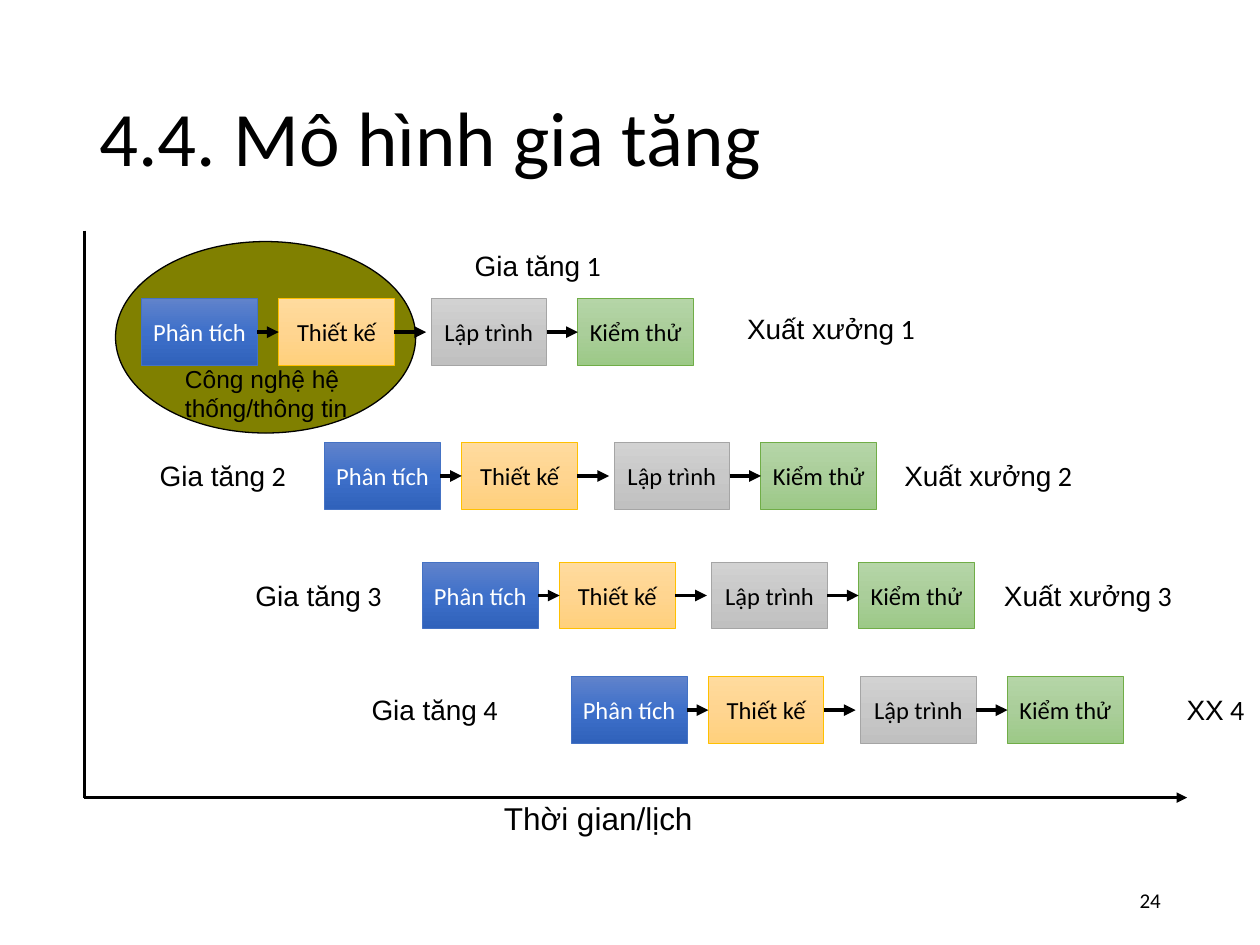
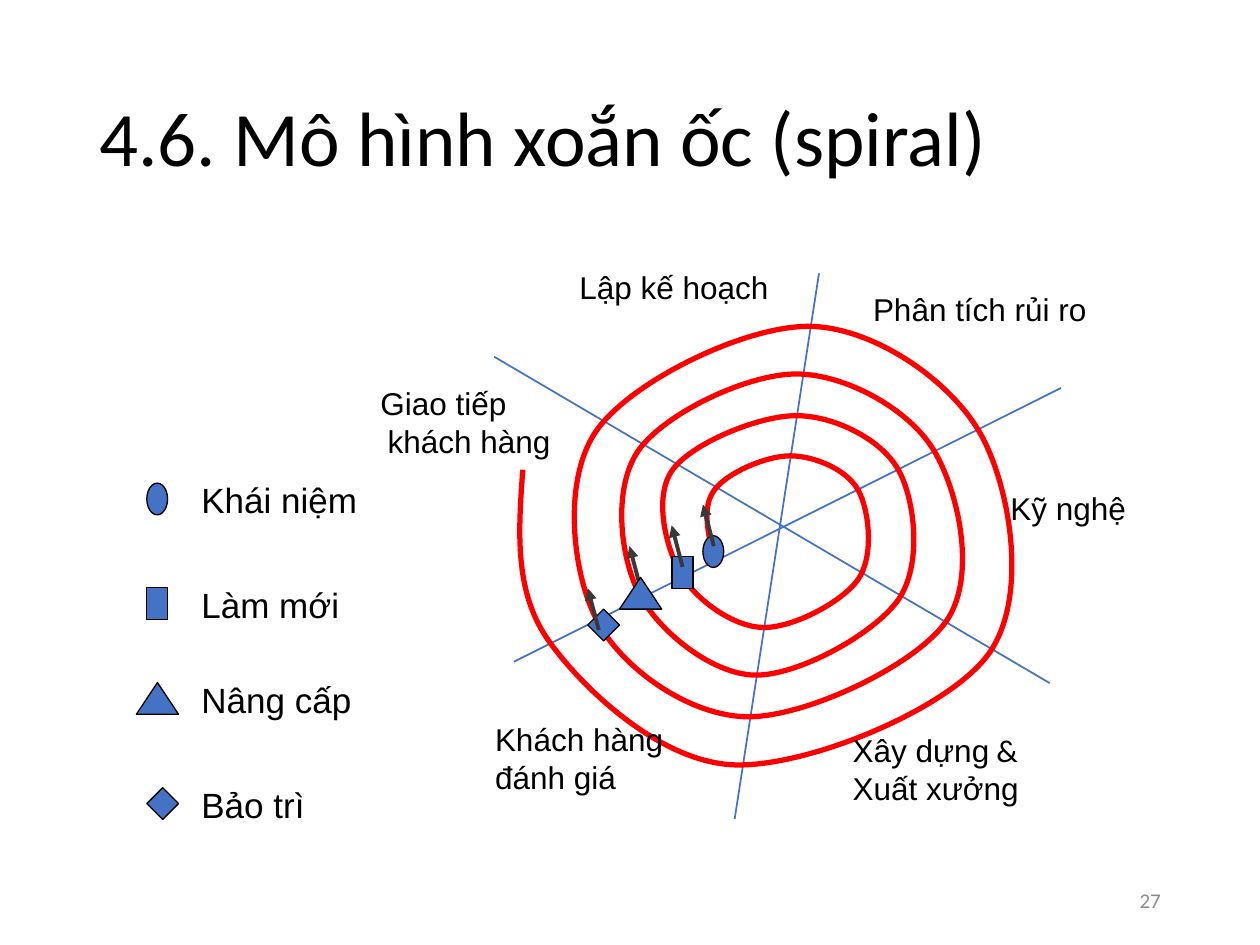
import copy

import pptx
import pptx.dml.color
import pptx.enum.shapes
import pptx.enum.text
import pptx.oxml.ns
import pptx.oxml.xmlchemy
import pptx.util

Cm = pptx.util.Cm
Pt = pptx.util.Pt
qn = pptx.oxml.ns.qn
SHAPE = pptx.enum.shapes.MSO_SHAPE
ALIGN = pptx.enum.text.PP_ALIGN
ANCHOR = pptx.enum.text.MSO_ANCHOR
AUTO_SIZE = pptx.enum.text.MSO_AUTO_SIZE

# Shared style
COLORS = {
    "black": "000000",
    "white": "FFFFFF",
    "grey": "8C8C8C",
    "blue": "4472C4",
    "red": "FF0000",
    "olive": "808000",
    "charcoal": "3B3838",
}
HEADING_FONT = "Calibri"
LABEL_FONT = "Arial"

# Increment chain: name, offset from the chain's left, gradient, outline, text colour
PHASES = [
    ("Phân tích", 0, ("6183CB", "3E70CA", "3062BB"), "4472C4", "white"),
    ("Thiết kế", 2.76, ("FFDB9E", "FFD590", "FFD07C"), "FFC000", "black"),
    ("Lập trình", 5.83, ("D2D2D2", "C8C8C8", "C0C0C0"), "A5A5A5", "black"),
    ("Kiểm thử", 8.79, ("B5D5A7", "AACE9A", "9CC987"), "70AD47", "black"),
]
PHASE_WIDTH, PHASE_HEIGHT = 2.33, 1.35
ARROW_GAPS = (0, 0.1, 0)

# Spiral markers: preset shape, width, height
MARKERS = {
    "concept": (SHAPE.OVAL, 0.42, 0.64),
    "renewal": (SHAPE.RECTANGLE, 0.42, 0.64),
    "upgrade": (SHAPE.ISOSCELES_TRIANGLE, 0.85, 0.64),
    "maintenance": (SHAPE.DIAMOND, 0.64, 0.64),
}
SPIRAL_POINTS = [
    (14.4, 11.28), (14.4, 9.88), (15.93, 9.19), (17.3, 9.88), (17.3, 11.68),
    (15.37, 12.65), (13.72, 11.56), (13.56, 9.47), (16.05, 8.38), (18.11, 9.47),
    (18.11, 12.09), (15.21, 13.61), (12.88, 11.96), (12.88, 9.07), (16.05, 7.54),
    (18.82, 9.07), (19.08, 12.52), (15.09, 14.45), (12.04, 12.52), (12.04, 8.66),
    (16.33, 6.58), (19.79, 8.79), (19.91, 13.21), (14.81, 15.42), (11.07, 12.93),
    (10.54, 9.47),
]


def rgb(color):
    return pptx.dml.color.RGBColor.from_string(COLORS.get(color, color))


def set_font(paragraph, size, color, name=None):
    paragraph.font.size = Pt(size)
    paragraph.font.color.rgb = rgb(color)
    if name:
        paragraph.font.name = name


def set_line(shape, color, width):
    shape.line.color.rgb = rgb(color)
    shape.line.width = Pt(width)


def add_titled_slide(presentation, title, number, number_color):
    slide = presentation.slides.add_slide(presentation.slide_layouts[5])
    heading = slide.shapes.title
    heading.left, heading.top = Cm(1.75), Cm(1.01)
    heading.width, heading.height = Cm(21.9), Cm(3.69)
    frame = heading.text_frame
    frame.text = title
    frame.auto_size = AUTO_SIZE.NONE
    frame.vertical_anchor = ANCHOR.MIDDLE
    paragraph = frame.paragraphs[0]
    paragraph.alignment = ALIGN.LEFT
    paragraph.line_spacing = 0.9
    set_font(paragraph, 44, "black", HEADING_FONT)

    footer = slide.shapes.add_textbox(Cm(17.93), Cm(17.65), Cm(5.72), Cm(1.01))
    footer.text_frame.word_wrap = True
    footer.text_frame.vertical_anchor = ANCHOR.MIDDLE
    paragraph = footer.text_frame.paragraphs[0]
    paragraph.text = str(number)
    paragraph.alignment = ALIGN.RIGHT
    set_font(paragraph, 12, number_color, HEADING_FONT)
    return slide


def add_label(slide, left, top, width, height, size, *lines):
    """Each line is a string, or a tuple of (text, font name) runs."""
    box = slide.shapes.add_textbox(Cm(left), Cm(top), Cm(width), Cm(height))
    frame = box.text_frame
    frame.word_wrap = False
    frame.auto_size = AUTO_SIZE.SHAPE_TO_FIT_TEXT
    for index, line in enumerate(lines):
        paragraph = frame.add_paragraph() if index else frame.paragraphs[0]
        if isinstance(line, str):
            paragraph.text = line
            set_font(paragraph, size, "black", LABEL_FONT)
            continue
        set_font(paragraph, size, "black")
        for text, font_name in line:
            run = paragraph.add_run()
            run.text = text
            run.font.name = font_name


def add_line(shapes, start, end, color, width, arrow=False):
    connector = shapes.add_connector(
        pptx.enum.shapes.MSO_CONNECTOR.STRAIGHT, *(Cm(value) for value in (*start, *end)))
    set_line(connector, color, width)
    properties = connector._element.spPr
    if arrow:
        tail = properties.find(qn("a:ln")).makeelement(qn("a:tailEnd"), {"type": "triangle"})
        properties.find(qn("a:ln")).append(tail)
    properties.append(properties.makeelement(qn("a:effectLst"), {}))


def add_solid(slide, preset, left, top, width, height, color):
    shape = slide.shapes.add_shape(preset, Cm(left), Cm(top), Cm(width), Cm(height))
    shape.shadow.inherit = False
    shape.fill.solid()
    shape.fill.fore_color.rgb = rgb(color)
    set_line(shape, "black", 0.75)


def add_marker(slide, kind, left, top):
    preset, width, height = MARKERS[kind]
    add_solid(slide, preset, left, top, width, height, "blue")


def fill_gradient(shape, colors):
    shape.fill.gradient()
    shape.fill.gradient_angle = 270
    stop_list = shape._element.spPr.find(qn("a:gradFill")).find(qn("a:gsLst"))
    stop_list.insert(1, copy.deepcopy(stop_list[0]))
    for index, (stop, color) in enumerate(zip(shape.fill.gradient_stops, colors)):
        stop.position = index / 2
        stop.color.rgb = rgb(color)


def add_phase(shapes, name, left, top, gradient, outline, text_color):
    shape = shapes.add_shape(
        SHAPE.RECTANGLE, Cm(left), Cm(top), Cm(PHASE_WIDTH), Cm(PHASE_HEIGHT))
    shape.shadow.inherit = False
    fill_gradient(shape, gradient)
    set_line(shape, outline, 0.5)
    frame = shape.text_frame
    frame.word_wrap = False
    frame.vertical_anchor = ANCHOR.MIDDLE
    paragraph = frame.paragraphs[0]
    paragraph.text = name
    paragraph.alignment = ALIGN.CENTER
    set_font(paragraph, 14, text_color, HEADING_FONT)


def add_chain(slide, left, top):
    shapes = slide.shapes.add_group_shape().shapes
    for name, offset, *style in PHASES:
        add_phase(shapes, name, left + offset, top, *style)
    middle = top + PHASE_HEIGHT / 2
    for phase, following, gap in zip(PHASES, PHASES[1:], ARROW_GAPS):
        start = (left + phase[1] + PHASE_WIDTH, middle)
        end = (left + following[1] - gap, middle)
        add_line(shapes, start, end, "black", 2.25, arrow=True)


def smooth_outline(shape):
    """Turn the straight segments into a curve through the same points."""
    outline = shape._element.spPr.find(".//" + qn("a:path"))
    points = [(int(point.get("x")), int(point.get("y"))) for point in outline.iter(qn("a:pt"))]
    last = len(points) - 1

    def handle(index, direction):
        (x, y), before, after = points[index], points[index - 1], points[index + 1]
        return (x + direction * (after[0] - before[0]) / 6,
                y + direction * (after[1] - before[1]) / 6)

    def midpoint(first, second):
        return (first[0] + second[0]) / 2, (first[1] + second[1]) / 2

    for index, segment in enumerate(outline.findall(qn("a:lnTo"))):
        leaving = handle(index, 1) if index > 0 else None
        arriving = handle(index + 1, -1) if index + 1 < last else None
        leaving = leaving or midpoint(points[index], arriving)
        arriving = arriving or midpoint(leaving, points[index + 1])
        curve = outline.makeelement(qn("a:cubicBezTo"), {})
        for x, y in (leaving, arriving, points[index + 1]):
            position = {"x": str(round(x)), "y": str(round(y))}
            curve.append(outline.makeelement(qn("a:pt"), position))
        outline.replace(segment, curve)


def add_spiral(slide):
    points = [(Cm(x), Cm(y)) for x, y in SPIRAL_POINTS]
    builder = slide.shapes.build_freeform(*points[0])
    builder.add_line_segments(points[1:], close=False)
    spiral = builder.convert_to_shape()
    spiral.shadow.inherit = False
    spiral.fill.background()
    set_line(spiral, "red", 3)
    smooth_outline(spiral)


def build_incremental_slide(presentation):
    slide = add_titled_slide(presentation, "4.4. Mô hình gia tăng", 24, "black")

    # Axes and the system engineering area
    origin = (1.7, 16.08)
    add_line(slide.shapes, (1.7, 4.65), origin, "black", 2)
    add_line(slide.shapes, origin, (23.93, 16.08), "black", 2, arrow=True)
    add_solid(slide, SHAPE.OVAL, 2.33, 4.87, 6.05, 3.86, "olive")

    # Increments: chain position, increment label, release label
    increments = [
        ((2.86, 6.02), (9.32, 4.88), (14.81, 6.15), "Xuất xưởng", 4.11),
        ((6.55, 8.92), (2.97, 9.12), (17.98, 9.12), "Xuất xưởng", 4.11),
        ((8.52, 11.33), (4.9, 11.53), (19.99, 11.53), "Xuất xưởng", 4.11),
        ((11.52, 13.64), (7.24, 13.84), (23.67, 13.84), "XX", 1.83),
    ]
    for number, (chain, label, release, release_name, width) in enumerate(increments, 1):
        suffix = (f" {number}", HEADING_FONT)
        add_chain(slide, *chain)
        add_label(slide, *label, 3.28, 0.94, 16, (("Gia tăng", LABEL_FONT), suffix))
        add_label(slide, *release, width, 0.94, 16, ((release_name, LABEL_FONT), suffix))

    add_label(slide, 3.48, 7.21, 3.81, 1.45, 14, "Công nghệ hệ", "thống/thông tin")
    add_label(slide, 9.91, 15.98, 4.34, 1.02, 18, "Thời gian/lịch")


def build_spiral_slide(presentation):
    slide = add_titled_slide(presentation, "4.6. Mô hình xoắn ốc (spiral)", 27, "grey")

    # Sector lines and spiral
    for start, end in [((10.36, 13.34), (21.39, 7.82)),
                       ((9.96, 7.19), (21.16, 13.77)),
                       ((16.51, 5.51), (14.81, 16.51))]:
        add_line(slide.shapes, start, end, "blue", 1)
    add_spiral(slide)

    # Starting points on the spiral
    add_marker(slide, "concept", 14.17, 10.8)
    add_marker(slide, "renewal", 13.55, 11.22)
    add_marker(slide, "maintenance", 11.85, 12.28)
    for x, y in [(14.39, 11.01), (13.76, 11.43), (12.91, 11.85), (12.07, 12.7)]:
        add_line(slide.shapes, (x, y), (x - 0.22, y - 0.84), "charcoal", 2.25, arrow=True)
    add_marker(slide, "upgrade", 12.49, 11.64)

    # Sector names
    customer = ((" ", HEADING_FONT), ("khách hàng", LABEL_FONT))
    building = (("Xây dựng", LABEL_FONT), (" &", HEADING_FONT))
    for left, top, width, *lines in [
        (7.42, 7.62, 4.09, "Giao tiếp", customer),
        (11.43, 5.28, 4.47, "Lập kế hoạch"),
        (17.35, 5.72, 5, "Phân tích rủi ro"),
        (20.12, 9.73, 2.92, "Kỹ nghệ"),
        (16.94, 14.61, 4.27, building, "Xuất xưởng"),
        (9.73, 14.4, 3.99, "Khách hàng", "đánh giá"),
    ]:
        add_label(slide, left, top, width, 0.24 + 0.78 * len(lines), 18, *lines)

    # Legend
    for kind, left, top, name, width in [
        ("concept", 2.96, 9.74, "Khái niệm", 3.73),
        ("renewal", 2.96, 11.85, "Làm mới", 3.38),
        ("upgrade", 2.75, 13.76, "Nâng cấp", 3.61),
        ("maintenance", 2.96, 15.88, "Bảo trì", 2.67),
    ]:
        add_marker(slide, kind, left, top)
        add_label(slide, 3.81, top - 0.21, width, 1.12, 20, name)


def main():
    presentation = pptx.Presentation()
    presentation.slide_width, presentation.slide_height = Cm(25.4), Cm(19.05)
    build_incremental_slide(presentation)
    build_spiral_slide(presentation)
    presentation.save("out.pptx")


if __name__ == "__main__":
    main()
